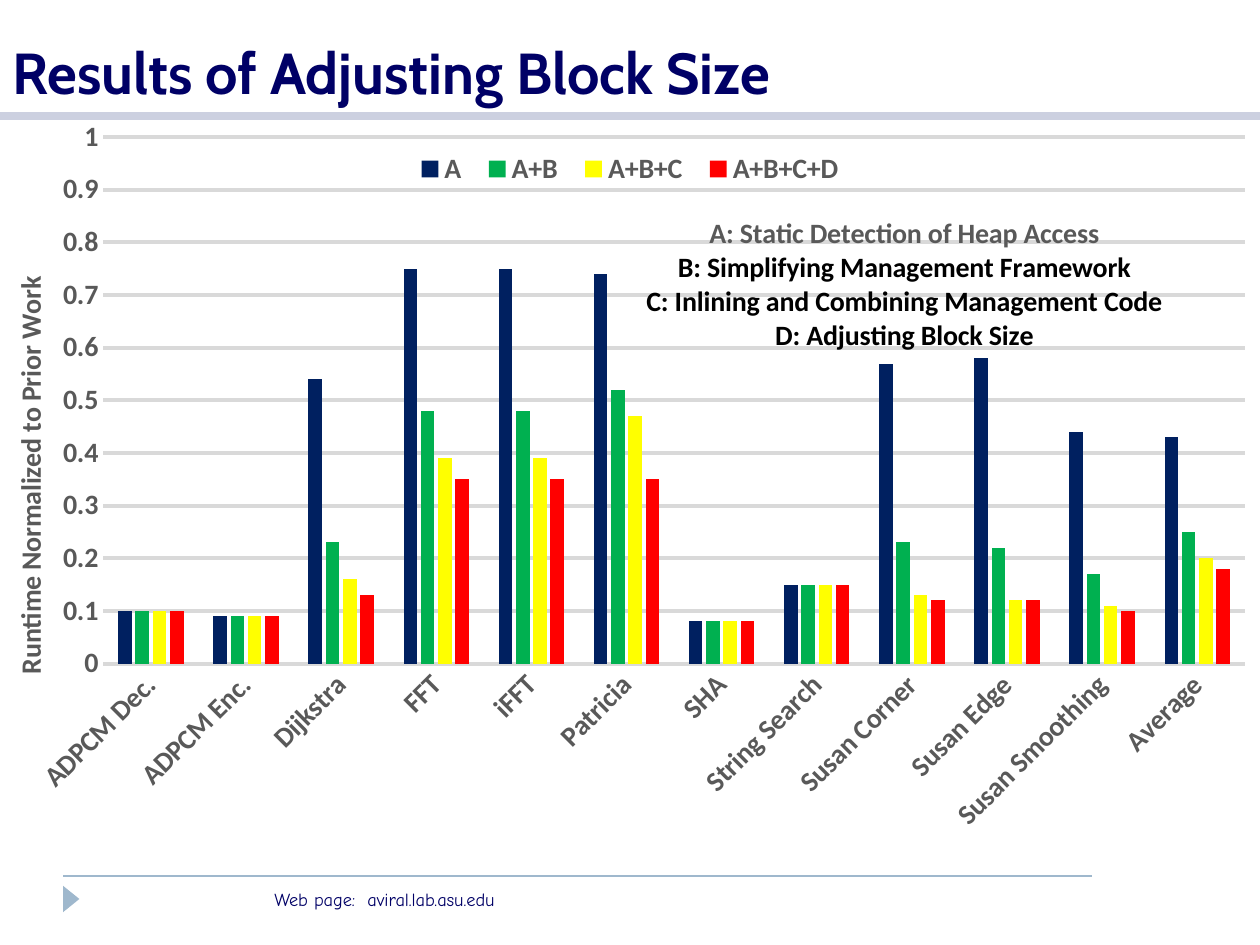
from lxml import etree
from pptx import Presentation
from pptx.chart.data import CategoryChartData
from pptx.dml.color import RGBColor
from pptx.enum.chart import XL_CHART_TYPE, XL_LEGEND_POSITION, XL_TICK_MARK
from pptx.enum.shapes import MSO_CONNECTOR, MSO_SHAPE
from pptx.enum.text import MSO_ANCHOR, PP_ALIGN
from pptx.oxml.ns import qn
from pptx.util import Inches, Pt

CLUSTERED = XL_CHART_TYPE.COLUMN_CLUSTERED
BOTTOM = XL_LEGEND_POSITION.BOTTOM
NO_TICK = XL_TICK_MARK.NONE
STRAIGHT = MSO_CONNECTOR.STRAIGHT
TITLE_ONLY = 5

COLORS = {
    "navy": "000066", "rule": "CCD0E0", "footer": "9FB8CD", "grid": "D9D9D9",
    "label": "595959", "black": "000000",
}
SERIES = {
    "A": ("002060", [0.1, 0.09, 0.54, 0.75, 0.75, 0.74, 0.08, 0.15, 0.57, 0.58, 0.44, 0.43]),
    "A+B": ("00B050", [0.1, 0.09, 0.23, 0.48, 0.48, 0.52, 0.08, 0.15, 0.23, 0.22, 0.17, 0.25]),
    "A+B+C": ("FFFF00", [0.1, 0.09, 0.16, 0.39, 0.39, 0.47, 0.08, 0.15, 0.13, 0.12, 0.11, 0.2]),
    "A+B+C+D": ("FF0000", [0.1, 0.09, 0.13, 0.35, 0.35, 0.35, 0.08, 0.15, 0.12, 0.12, 0.1, 0.18]),
}
BENCHMARKS = [
    "ADPCM Dec.", "ADPCM Enc.", "Dijkstra", "FFT", "iFFT", "Patricia", "SHA",
    "String Search", "Susan Corner", "Susan Edge", "Susan Smoothing", "Average",
]
TECHNIQUES = [
    "A: Static Detection of Heap Access",
    "B: Simplifying Management Framework",
    "C: Inlining and Combining Management Code",
    "D: Adjusting Block Size",
]
CHART_FONT = {"name": "Calibri", "size": Pt(16), "bold": True}


def rgb(key):
    return RGBColor.from_string(COLORS[key])


def format_font(font, color, **values):
    for name, value in values.items():
        setattr(font, name, value)
    font.color.rgb = rgb(color)


def add_rule(slide, left, right, y, color, width):
    line = slide.shapes.add_connector(STRAIGHT, Inches(left), Inches(y), Inches(right), Inches(y))
    line.line.color.rgb = rgb(color)
    line.line.width = Pt(width)
    etree.SubElement(line._element.spPr, qn("a:effectLst"))


def set_layout(element, index, inner=False, **fractions):
    """Place a chart part by fractions of the chart's size."""
    for old in element.findall(qn("c:layout")):
        element.remove(old)
    layout = etree.Element(qn("c:layout"))
    manual = etree.SubElement(layout, qn("c:manualLayout"))
    values = {"layoutTarget": "inner"} if inner else {}
    values.update(xMode="edge", yMode="edge", **fractions)
    for name, value in values.items():
        etree.SubElement(manual, qn(f"c:{name}")).set("val", str(value))
    element.insert(index, layout)


def add_title(slide, left, top, width, height):
    sp = slide.shapes.title
    sp.left, sp.top, sp.width, sp.height = map(Inches, (left, top, width, height))
    tf = sp.text_frame
    tf.text = "Results of Adjusting Block Size"
    tf.vertical_anchor = MSO_ANCHOR.BOTTOM
    p = tf.paragraphs[0]
    p.alignment = PP_ALIGN.LEFT
    format_font(p.runs[0].font, "navy", name="Cabin", size=Pt(33), bold=True)
    add_rule(slide, left, left + width, top + height + 0.03, "rule", 5)


def format_axes(chart):
    cat, val = chart.category_axis, chart.value_axis
    for axis in (cat, val):
        axis.major_tick_mark = axis.minor_tick_mark = NO_TICK
        format_font(axis.tick_labels.font, "label", **CHART_FONT)
    cat.format.line.color.rgb = rgb("grid")
    cat.format.line.width = Pt(0.75)
    cat._element.find(qn("c:txPr")).find(qn("a:bodyPr")).set("rot", "-2700000")

    val.minimum_scale, val.maximum_scale, val.major_unit = 0, 1, 0.1
    val.tick_labels.number_format = "General"
    val.tick_labels.number_format_is_linked = False
    val.format.line.fill.background()
    val.major_gridlines.format.line.color.rgb = rgb("grid")
    val.major_gridlines.format.line.width = Pt(2.25)

    tf = val.axis_title.text_frame
    tf.text = "Runtime Normalized to Prior Work"
    tf._txBody.bodyPr.set("rot", "-5400000")
    format_font(tf.paragraphs[0].runs[0].font, "label", **CHART_FONT)
    set_layout(val.axis_title._element, 1, x=0.005, y=0.21)


def add_runtime_chart(slide, left, top, width, height):
    data = CategoryChartData()
    data.categories = BENCHMARKS
    for name, (_, values) in SERIES.items():
        data.add_series(name, values)
    frame = slide.shapes.add_chart(CLUSTERED, *map(Inches, (left, top, width, height)), data)
    chart = frame.chart
    format_font(chart.font, "black", name="Calibri", size=Pt(10))

    # Columns
    plot = chart.plots[0]
    plot.gap_width, plot.overlap, plot.vary_by_categories = 219, -27, False
    for series, (color, _) in zip(plot.series, SERIES.values()):
        series.format.fill.solid()
        series.format.fill.fore_color.rgb = RGBColor.from_string(color)
    format_axes(chart)

    # Key to the techniques, as chart title
    tf = chart.chart_title.text_frame
    for i, text in enumerate(TECHNIQUES):
        p = tf.add_paragraph() if i else tf.paragraphs[0]
        r = p.add_run()
        r.text = text
        format_font(r.font, "black" if i else "label", **CHART_FONT)
    chart.chart_title.include_text_in_layout = True
    set_layout(chart.chart_title._element, 1, x=0.51, y=0.13)

    # Legend
    chart.has_legend = True
    legend = chart.legend
    legend.position = BOTTOM
    legend.include_in_layout = False
    format_font(legend.font, "label", **CHART_FONT)
    set_layout(legend._element, 1, x=0.32, y=0.05, w=0.36, h=0.05)

    plot_area = chart._chartSpace.chart.plotArea
    set_layout(plot_area, 0, inner=True, x=0.082, y=0.033, w=0.906, h=0.693)


def add_footer(slide, left, top, width):
    add_rule(slide, left, left + width, top, "footer", 1)

    # Arrow marker
    marker = slide.shapes.add_shape(
        MSO_SHAPE.ISOSCELES_TRIANGLE,
        Inches(left - 0.04), Inches(top + 0.12), Inches(0.21), Inches(0.13))
    marker.rotation = 90
    marker.shadow.inherit = False
    marker.fill.solid()
    marker.fill.fore_color.rgb = rgb("footer")
    marker.line.fill.background()

    # Web address
    box = slide.shapes.add_textbox(
        Inches(left + 1.58), Inches(top + 0.05), Inches(3.75), Inches(0.28))
    tf = box.text_frame
    tf.word_wrap = True
    r = tf.paragraphs[0].add_run()
    r.text = "Web page:  aviral.lab.asu.edu"
    format_font(r.font, "navy", name="Comic Neue", size=Pt(10.5))


def main():
    prs = Presentation()
    prs.slide_width, prs.slide_height = Inches(10), Inches(7.5)
    slide = prs.slides.add_slide(prs.slide_layouts[TITLE_ONLY])
    add_footer(slide, 0.5, 6.95, 8.17)
    add_title(slide, 0, 0, 10, 0.89)
    add_runtime_chart(slide, 0, 0.89, 10, 6.03)
    prs.save("out.pptx")


if __name__ == "__main__":
    main()
